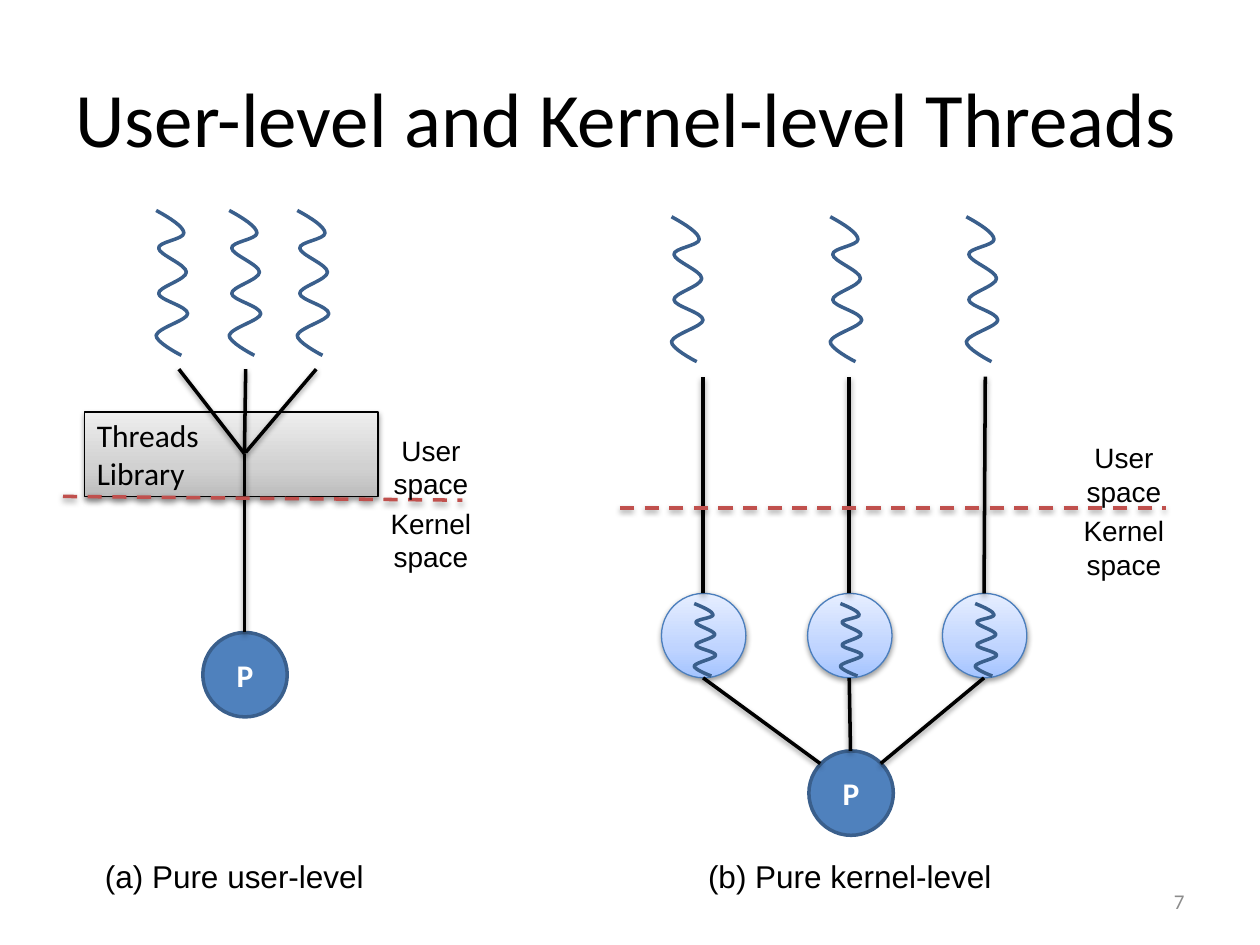
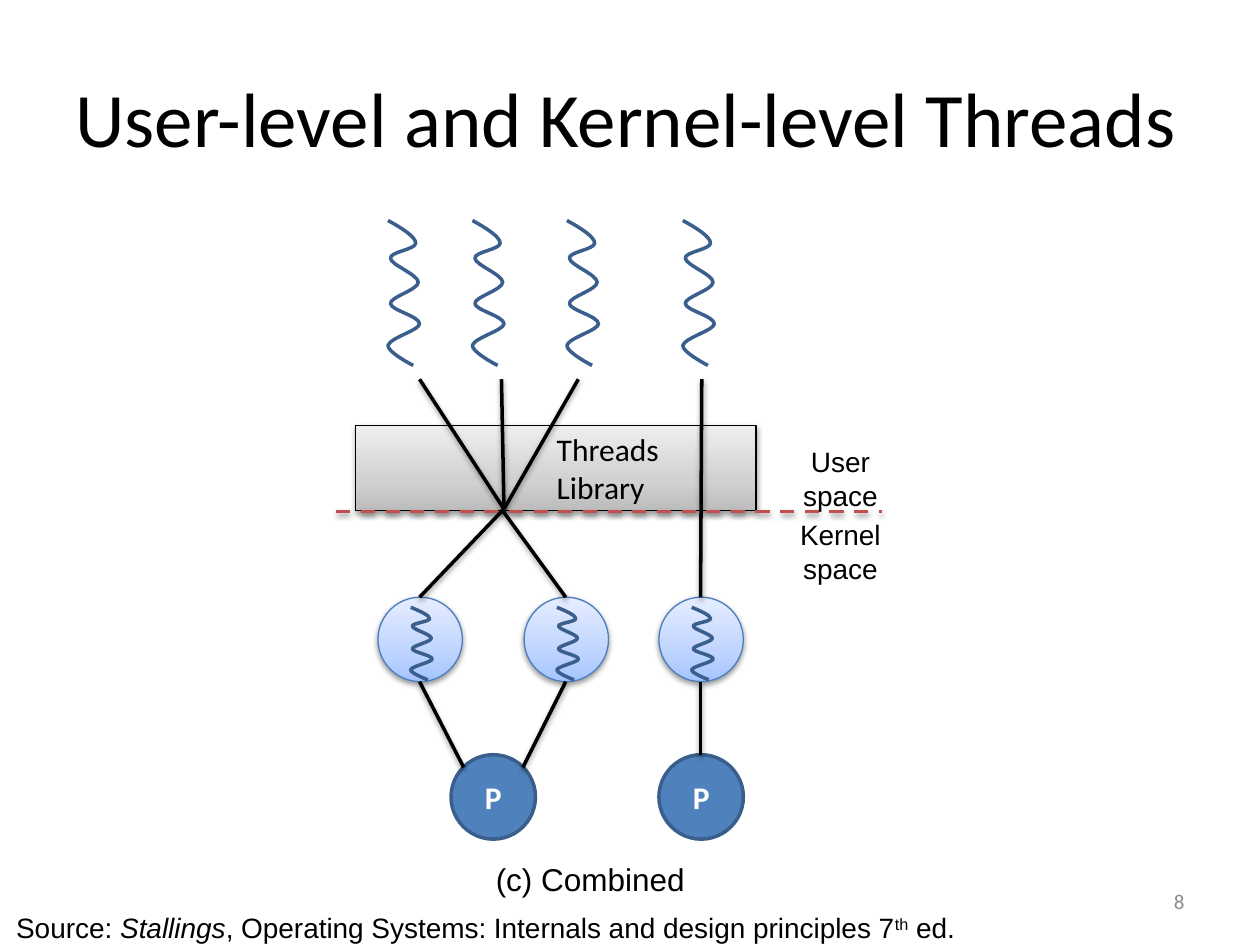
import copy
import pptx
import pptx.util
import pptx.dml.color
import pptx.enum.dml
import pptx.enum.shapes
import pptx.enum.text
import pptx.oxml.ns
import pptx.oxml.xmlchemy
from dataclasses import dataclass

TITLE = "User-level and Kernel-level Threads"
SOURCE = [
    ("Source: ", {}),
    ("Stallings", {"italic": True}),
    (", Operating Systems: Internals and design principles 7", {}),
    ("th", {"raised": True}),
    (" ed.", {}),
]

USER = {
    "caption": ("(a) Pure user-level", 65, 675, 242),
    "box": (67, 327, 233, 0),
    "rail": (50, 394, 367, 397),
    "label": 292,
    "waves": (167, [124, 182, 236]),
    "cores": (0, []),
    "procs": (502, [161]),
    "links": [
        (194, 502, 194, 360),
        (194, 360, 142, 293),
        (195, 359, 251, 293),
        (194, 360, 195, 293),
    ],
}
KERNEL = {
    "caption": ("(b) Pure kernel-level", 543, 675, 263),
    "box": None,
    "rail": (492, 403, 925, 403),
    "label": 842,
    "waves": (172, [533, 659, 767]),
    "cores": (471, [525, 641, 748]),
    "procs": (596, [642]),
    "links": [
        (558, 471, 558, 299),
        (674, 471, 674, 299),
        (781, 471, 782, 299),
        (651, 606, 558, 538),
        (675, 596, 674, 538),
        (699, 606, 781, 538),
    ],
}
MIXED = {
    "caption": ("(c) Combined", 337, 678, 263),
    "box": (282, 338, 318, 150),
    "rail": (267, 406, 700, 406),
    "label": 617,
    "waves": (175, [308, 375, 450, 542]),
    "cores": (474, [300, 416, 523]),
    "procs": (599, [358, 523]),
    "links": [
        (333, 474, 398, 406),
        (449, 474, 398, 404),
        (556, 474, 557, 301),
        (400, 404, 333, 301),
        (400, 404, 398, 301),
        (400, 404, 459, 301),
        (368, 609, 333, 541),
        (415, 609, 449, 541),
        (556, 599, 556, 541),
    ],
}
PAGES = [("7", [USER, KERNEL], None), ("8", [MIXED], SOURCE)]

CURVE = [
    (11, 6), (22, 13), (22, 18), (22, 23), (1, 25), (2, 30),
    (2, 35), (24, 43), (24, 49), (24, 55), (1, 61), (2, 66),
    (2, 71), (25, 76), (25, 82), (25, 87), (2, 93), (0, 99),
    (-1, 104), (18, 114), (18, 114), (18, 114), (20, 115), (20, 115),
]

PX = 9144
DISC = 67
Pt = pptx.util.Pt
RGB = pptx.dml.color.RGBColor.from_string
ALIGN = pptx.enum.text.PP_ALIGN
SHAPE = pptx.enum.shapes.MSO_SHAPE


@dataclass(frozen=True)
class Theme:
    ink: str = "000000"
    white: str = "FFFFFF"
    pale: str = "8C8C8C"
    blue: str = "4F81BD"
    navy: str = "3A5F8C"
    rim: str = "4B7EBC"
    red: str = "C0504D"
    gray: tuple = ("BDBDBD", "D1D1D1", "EEEEEE")
    sky: tuple = ("A4C4FF", "BFD4FF", "E6EEFF")
    head: str = "Calibri"
    body: str = "Arial"
    title: int = 44
    text: int = 18
    label: int = 16
    page: int = 12
    thick: float = 2
    thin: float = 0.75


LOOK = Theme()


def scale(*nums):
    return [round(num * PX) for num in nums]


def shade(item, shown):
    frame = item._element.spPr
    name = pptx.oxml.ns.qn
    for old in frame.findall(name("a:effectLst")):
        frame.remove(old)
    make = pptx.oxml.xmlchemy.OxmlElement
    effect = make("a:effectLst")
    frame.append(effect)
    if shown:
        cast = make("a:outerShdw")
        for key, val in (("blurRad", 40000), ("dist", 20000), ("dir", 5400000), ("rotWithShape", 0)):
            cast.set(key, str(val))
        tint = make("a:srgbClr")
        tint.set("val", LOOK.ink)
        alpha = make("a:alpha")
        alpha.set("val", "38000")
        tint.append(alpha)
        cast.append(tint)
        effect.append(cast)


def stroke(item, hue, width):
    item.line.color.rgb = RGB(hue)
    item.line.width = Pt(width)


def style(para, size, face, hue=LOOK.ink, align=ALIGN.LEFT, bold=False):
    para.alignment = align
    font = para.font
    font.size, font.name, font.bold = Pt(size), face, bold
    font.color.rgb = RGB(hue)


def write(frame, lines, *look, middle=True, **more):
    frame.word_wrap = True
    anchor = pptx.enum.text.MSO_ANCHOR
    frame.vertical_anchor = anchor.MIDDLE if middle else anchor.TOP
    frame.text = "\n".join(lines)
    for para in frame.paragraphs:
        style(para, *look, **more)


def note(slide, spot, lines, *look, **more):
    frame = slide.shapes.add_textbox(*scale(*spot)).text_frame
    write(frame, lines, *look, **more)
    return frame


def blend(fill, tones):
    fill.gradient()
    fill.gradient_angle = 90
    first = fill.gradient_stops[0]._gs
    first.addnext(copy.deepcopy(first))
    for stop, place, hue in zip(fill.gradient_stops, (0, 0.35, 1), tones):
        stop.position = place
        stop.color.rgb = RGB(hue)


def solid(slide, kind, spot, fill, edge, width):
    item = slide.shapes.add_shape(kind, *scale(*spot))
    if isinstance(fill, tuple):
        blend(item.fill, fill)
    else:
        item.fill.solid()
        item.fill.fore_color.rgb = RGB(fill)
    stroke(item, edge, width)
    shade(item, isinstance(fill, tuple))
    return item


def wave(slide, left, top, wide=1, high=1):
    spots = [scale(left + x * wide, top + y * high) for x, y in CURVE]
    build = slide.shapes.build_freeform(*scale(left, top), scale=1.0)
    build.add_line_segments(spots, close=False)
    item = build.convert_to_shape()
    item.fill.background()
    stroke(item, LOOK.navy, LOOK.thick)
    shade(item, False)
    name = pptx.oxml.ns.qn
    steps = list(item._element.iter(name("a:lnTo")))
    for start in range(0, len(steps), 3):
        bend = pptx.oxml.xmlchemy.OxmlElement("a:cubicBezTo")
        steps[start].addprevious(bend)
        for step in steps[start:start + 3]:
            bend.append(step[0])
            step.getparent().remove(step)


def link(slide, ends, hue=LOOK.ink, dashed=False):
    kind = pptx.enum.shapes.MSO_CONNECTOR.STRAIGHT
    item = slide.shapes.add_connector(kind, *scale(*ends))
    stroke(item, hue, LOOK.thick)
    if dashed:
        item.line.dash_style = pptx.enum.dml.MSO_LINE.DASH
    shade(item, True)


def draw(slide, panel):
    if panel["box"]:
        left, top, width, inset = panel["box"]
        box = solid(slide, SHAPE.RECTANGLE, (left, top, width, DISC), LOOK.gray, LOOK.ink, LOOK.thin)
        write(box.text_frame, ["Threads", "Library"], LOOK.text, LOOK.head)
        for para in box.text_frame.paragraphs:
            para._p.get_or_add_pPr().set("marL", str(inset * PX))

    top, lefts = panel["procs"]
    for left in lefts:
        proc = solid(slide, SHAPE.OVAL, (left, top, DISC, DISC), LOOK.blue, LOOK.navy, LOOK.thick)
        write(proc.text_frame, ["P"], LOOK.text, LOOK.head, LOOK.white, ALIGN.CENTER, True)

    top, lefts = panel["cores"]
    for left in lefts:
        solid(slide, SHAPE.OVAL, (left, top, DISC, DISC), LOOK.sky, LOOK.rim, LOOK.thin)
        wave(slide, left + 26, top + 8, 0.68, 0.5)

    for ends in panel["links"]:
        link(slide, ends)
    link(slide, panel["rail"], LOOK.red, True)

    level = panel["rail"][3]
    for lines, top in ((["User space"], level - 58), (["Kernel", "space"], level)):
        note(slide, (panel["label"], top, 100, 64), lines, LOOK.label, LOOK.body,
             align=ALIGN.CENTER, middle=False)

    top, lefts = panel["waves"]
    for left in lefts:
        wave(slide, left, top)

    words, left, top, width = panel["caption"]
    note(slide, (left, top, width, 40), [words], LOOK.text, LOOK.body,
         align=ALIGN.CENTER, middle=False)


def credit(slide, parts):
    frame = note(slide, (3, 718, 858, 37), [""], LOOK.label, LOOK.body, middle=False)
    for words, marks in parts:
        run = frame.paragraphs[0].add_run()
        run.text = words
        if marks.get("italic"):
            run.font.italic = True
        if marks.get("raised"):
            run._r.get_or_add_rPr().set("baseline", "30000")


def main():
    deck = pptx.Presentation()
    deck.slide_width, deck.slide_height = scale(1000, 750)
    for number, panels, source in PAGES:
        slide = deck.slides.add_slide(deck.slide_layouts[6])
        note(slide, (50, 30, 900, 125), [TITLE], LOOK.title, LOOK.head)
        note(slide, (717, 695, 233, 40), [number], LOOK.page, LOOK.head, LOOK.pale, ALIGN.RIGHT)
        for panel in panels:
            draw(slide, panel)
        if source:
            credit(slide, source)
    deck.save("out.pptx")


if __name__ == "__main__":
    main()
